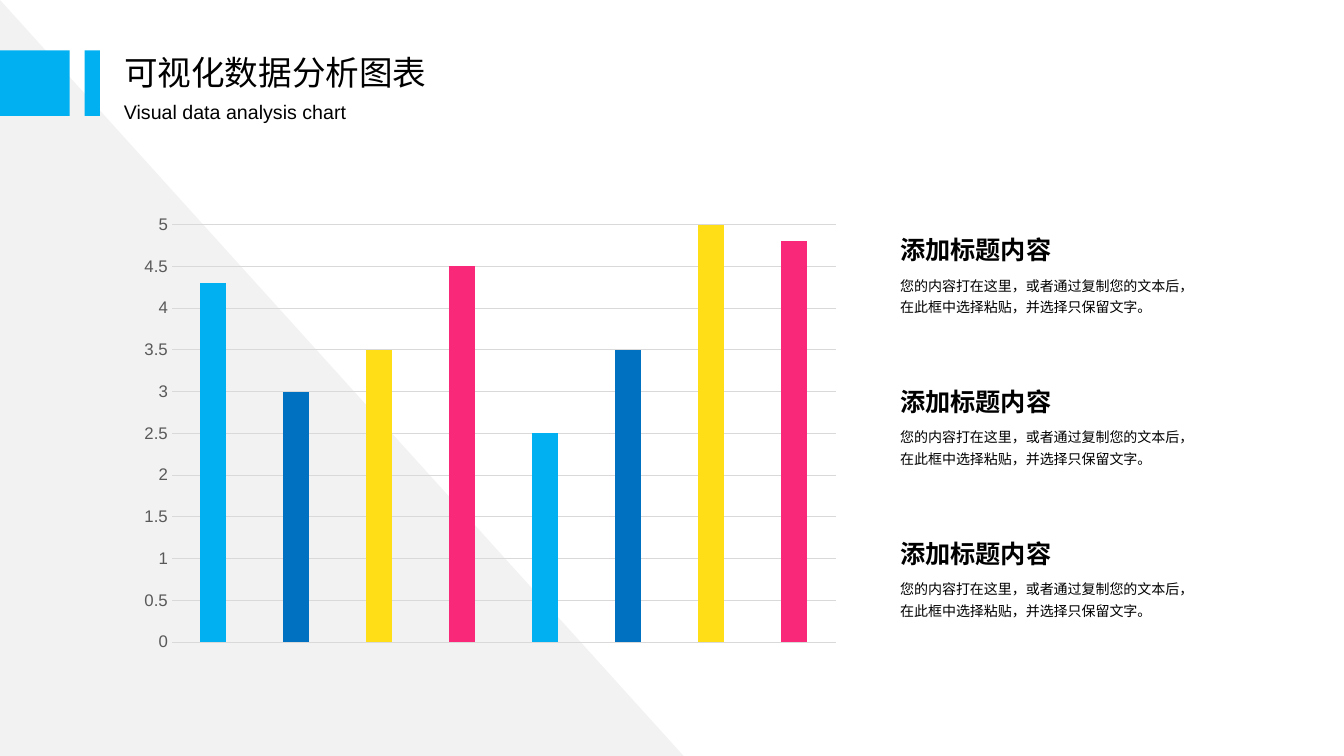
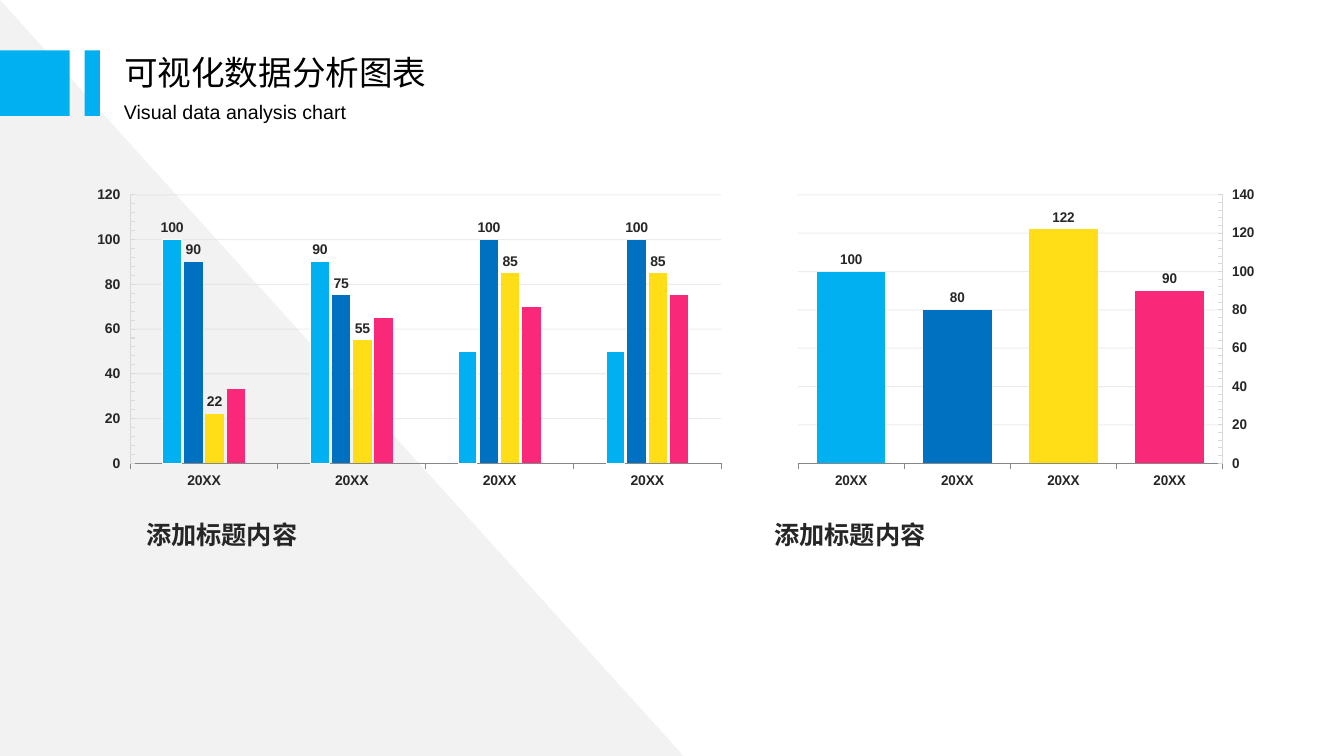
from lxml.etree import SubElement
from pptx import Presentation
from pptx.chart.data import CategoryChartData
from pptx.dml.color import RGBColor
from pptx.enum.chart import XL_CHART_TYPE as ChartType, XL_LABEL_POSITION as LabelPos
from pptx.enum.chart import XL_TICK_LABEL_POSITION as TickLabelPos, XL_TICK_MARK as TickMark
from pptx.enum.shapes import MSO_SHAPE as Preset
from pptx.enum.text import MSO_ANCHOR as Anchor, MSO_AUTO_SIZE as AutoSize, PP_ALIGN as Align
from pptx.oxml.ns import qn
from pptx.util import Inches, Pt

FONT = "Arial"
COLORS = {
    "sky": "00B0F0", "blue": "0070C0", "yellow": "FFDE17", "pink": "F92878",
    "black": "000000", "ink": "262626", "axis": "595959", "rule": "D9D9D9",
    "baseline": "878787", "backdrop": "F2F2F2", "white": "FFFFFF",
}
PALETTE = ["sky", "blue", "yellow", "pink"]
HEADING = "添加标题内容"
BODY = "您的内容打在这里，或者通过复制您的文本后，在此框中选择粘贴，并选择只保留文字。"


def rgb(name):
    return RGBColor.from_string(COLORS[name])


def inches(box):
    return [Inches(length) for length in box]


def style_font(font, size, color, bold=False):
    font.name, font.size, font.bold = FONT, Pt(size), bold
    font.color.rgb = rgb(color)


def write(frame, text, size, color="black", bold=False, spacing=1.0, inset=None):
    frame.text = text
    frame.word_wrap = True
    frame.auto_size = AutoSize.SHAPE_TO_FIT_TEXT
    frame.vertical_anchor = Anchor.TOP
    if inset is not None:
        frame.margin_left = frame.margin_right = Inches(inset)
        frame.margin_top = frame.margin_bottom = Inches(inset)
    paragraph = frame.paragraphs[0]
    paragraph.alignment = Align.LEFT
    paragraph.line_spacing = spacing
    for run in paragraph.runs:
        style_font(run.font, size, color, bold)


def add_text(slide, box, text, size, **style):
    write(slide.shapes.add_textbox(*inches(box)).text_frame, text, size, **style)


def add_block(slide, preset, box, color):
    block = slide.shapes.add_shape(preset, *inches(box))
    block.shadow.inherit = False
    block.fill.solid()
    block.fill.fore_color.rgb = rgb(color)
    block.line.fill.background()
    return block


def add_backdrop(slide):
    triangle = add_block(slide, Preset.RIGHT_TRIANGLE, (0, 0, 6.78, 7.5), "backdrop")
    slide.slide_layout.shapes.element.insert(2, triangle.element)


def add_header(slide, title, subtitle):
    heading = slide.shapes.title
    heading.left, heading.top, heading.width, heading.height = inches((1.13, 0.38, 3.25, 0.59))
    write(heading.text_frame, title, 24, spacing=1.2)
    add_text(slide, (1.13, 0.85, 2.82, 0.43), subtitle, 14, spacing=1.4)
    for left, width in ((0, 0.69), (0.84, 0.15)):
        add_block(slide, Preset.RECTANGLE, (left, 0.5, width, 0.65), "sky")


def add_columns(slide, box, categories, rows, gap, overlap, size, color, bold=False):
    data = CategoryChartData(number_format="General")
    data.categories = categories
    for number, values in enumerate(rows, 1):
        data.add_series(f"Series {number}", values)
    chart = slide.shapes.add_chart(ChartType.COLUMN_CLUSTERED, *inches(box), data).chart
    chart.has_title = chart.has_legend = False
    style_font(chart.font, size, color, bold)
    plot = chart.plots[0]
    plot.gap_width, plot.overlap, plot.vary_by_categories = gap, overlap, False
    for series, fill in zip(plot.series, PALETTE):
        series.format.fill.solid()
        series.format.fill.fore_color.rgb = rgb(fill)
    values = chart.value_axis
    values.minimum_scale = 0
    values.major_tick_mark = TickMark.NONE
    values.has_major_gridlines = True
    grid = values.major_gridlines.format.line
    grid.color.rgb, grid.width = rgb("rule"), Pt(0.75)
    return chart


def color_points(series, names):
    for index, name in enumerate(names):
        fill = series.points[index].format.fill
        fill.solid()
        fill.fore_color.rgb = rgb(name)


def show_labels(series):
    labels = series.data_labels
    labels.show_value = True
    labels.position = LabelPos.OUTSIDE_END


def set_plot_layout(chart, **fractions):
    area = chart.element.find(".//" + qn("c:plotArea"))
    for old in area.findall(qn("c:layout")):
        area.remove(old)
    layout = SubElement(area, qn("c:layout"))
    area.insert(0, layout)
    manual = SubElement(layout, qn("c:manualLayout"))
    settings = {"layoutTarget": "inner", "xMode": "edge", "yMode": "edge", **fractions}
    for tag, value in settings.items():
        SubElement(manual, qn("c:" + tag)).set("val", str(value))


def add_report_chart(slide, box, rows, gap, overlap, top):
    chart = add_columns(slide, box, ["20XX"] * 4, rows, gap, overlap, 10, "ink", True)
    set_plot_layout(chart, x=0.093, y=0.046, w=0.879, h=0.8)
    for color in chart.element.xpath(".//c:majorGridlines//a:srgbClr"):
        SubElement(color, qn("a:alpha")).set("val", "48000")
    values = chart.value_axis
    values.maximum_scale, values.major_unit, values.minor_unit = top, 20, 4
    values.minor_tick_mark = TickMark.INSIDE
    values.tick_label_position = TickLabelPos.LOW
    chart.category_axis.major_tick_mark = TickMark.OUTSIDE
    for axis, color in ((values, "rule"), (chart.category_axis, "baseline")):
        axis.format.line.color.rgb = rgb(color)
        axis.format.line.width = Pt(0.75)
    outline = chart.plots[0].series[0].format.line
    outline.color.rgb, outline.width = rgb("white"), Pt(0.75)
    return chart


def add_overview_chart(slide, box):
    rows = [(4.3, 3, 3.5, 4.5, 2.5, 3.5, 5, 4.8)]
    categories = [str(number) for number in range(1, 9)]
    chart = add_columns(slide, box, categories, rows, 224, -100, 12, "axis")
    chart.category_axis.visible = False
    chart.value_axis.maximum_scale, chart.value_axis.major_unit = 5, 0.5
    chart.value_axis.format.line.fill.background()
    color_points(chart.plots[0].series[0], PALETTE * 2)


def add_grouped_chart(slide, box):
    rows = [(100, 90, 50, 50), (90, 75, 100, 100), (22, 55, 85, 85), (33, 65, 70, 75)]
    chart = add_report_chart(slide, box, rows, 351, -14, 120)
    first, second, third, _ = chart.plots[0].series
    for index in range(2):
        first.points[index].data_label.position = LabelPos.OUTSIDE_END
    first.data_labels.show_value = False
    show_labels(second)
    show_labels(third)


def add_reversed_chart(slide, box):
    chart = add_report_chart(slide, box, [(90, 122, 80, 100)], 55, -16, 140)
    chart.category_axis.reverse_order = True
    series = chart.plots[0].series[0]
    color_points(series, reversed(PALETTE))
    show_labels(series)


def add_notes_column(slide, left, top, pitch):
    for row in range(3):
        y = top + row * pitch
        add_text(slide, (left, y, 2.33, 0.4), HEADING, 18, bold=True)
        add_text(slide, (left, y + 0.37, 3.08, 0.52), BODY, 10, spacing=1.3)


def overview_slide(slide):
    add_overview_chart(slide, (1.29, 2.05, 7.14, 4.5))
    add_notes_column(slide, 8.83, 2.28, 1.505)


def comparison_slide(slide):
    add_grouped_chart(slide, (0.67, 1.78, 6.67, 3.33))
    add_reversed_chart(slide, (7.47, 1.78, 4.97, 3.33))
    for left in (1.45, 7.68):
        add_text(slide, (left, 5.15, 2.16, 0.3), HEADING, 18, color="ink", bold=True, inset=0)


def main():
    deck = Presentation()
    deck.slide_width, deck.slide_height = Inches(13.33), Inches(7.5)
    title_only = deck.slide_layouts[5]
    for fill_slide in (overview_slide, comparison_slide):
        slide = deck.slides.add_slide(title_only)
        if len(deck.slides) == 1:
            add_backdrop(slide)
        fill_slide(slide)
        add_header(slide, "可视化数据分析图表", "Visual data analysis chart")
    deck.save("out.pptx")


if __name__ == "__main__":
    main()
